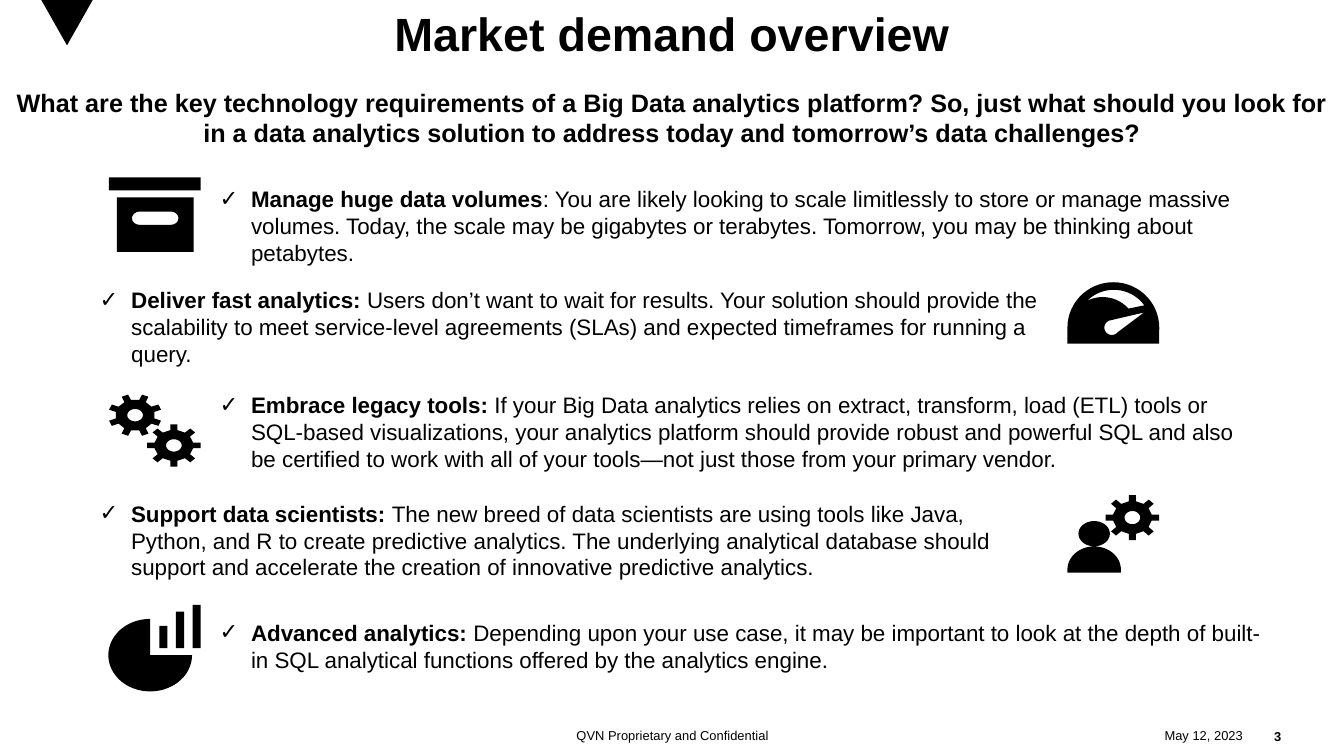
import math

import pptx
import pptx.util
import pptx.dml.color
import pptx.enum.shapes
import pptx.enum.text
from lxml import etree

Pt = pptx.util.Pt
ALIGN = pptx.enum.text.PP_ALIGN
MIDDLE = pptx.enum.text.MSO_ANCHOR.MIDDLE
COLORS = {"ink": "000000"}
FONT = "Arial"
INDENT = 22.5

# left, top, width, height, heading, detail
NEEDS = [
    (149.76, 128.9, 758.2, 65.5, "Manage huge data volumes",
     ": You are likely looking to scale limitlessly to store or manage massive "
     "volumes. Today, the scale may be gigabytes or terabytes. Tomorrow, you may "
     "be thinking about petabytes."),
    (64.1, 200.9, 687.6, 65.5, "Deliver fast analytics: ",
     "Users don’t want to wait for results. Your solution should provide the "
     "scalability to meet service-level agreements (SLAs) and expected timeframes "
     "for running a query."),
    (149.76, 275.8, 758.2, 65.5, "Embrace legacy tools: ",
     "If your Big Data analytics relies on extract, transform, load (ETL) tools or "
     "SQL-based visualizations, your analytics platform should provide robust and "
     "powerful SQL and also be certified to work with all of your tools—not just "
     "those from your primary vendor."),
    (64.1, 353.5, 688.3, 65.5, "Support data scientists: ",
     "The new breed of data scientists are using tools like Java, Python, and R to "
     "create predictive analytics. The underlying analytical database should "
     "support and accelerate the creation of innovative predictive analytics."),
    (149.76, 438.5, 758.2, 46.1, "Advanced analytics: ",
     "Depending upon your use case, it may be important to look at the depth of "
     "built-in SQL analytical functions offered by the analytics engine."),
]


def ink():
    return pptx.dml.color.RGBColor.from_string(COLORS["ink"])


def style(run, size, bold=False):
    run.font.name = FONT
    run.font.size = Pt(size)
    run.font.bold = bold
    run.font.color.rgb = ink()


def fill_ink(shape):
    shape.shadow.inherit = False
    shape.fill.solid()
    shape.fill.fore_color.rgb = ink()
    shape.line.fill.background()


def place(shape, left, top, width, height):
    shape.left, shape.top = Pt(left), Pt(top)
    shape.width, shape.height = Pt(width), Pt(height)


def set_text(shape, text, size, align, bold=False):
    frame = shape.text_frame
    frame.word_wrap = True
    frame.text = text
    para = frame.paragraphs[0]
    para.alignment = align
    style(para.runs[0], size, bold)
    return para


def trim(shape):
    """Remove the insets and centre the text vertically."""
    frame = shape.text_frame
    frame.margin_left = frame.margin_right = 0
    frame.margin_top = frame.margin_bottom = 0
    frame.vertical_anchor = MIDDLE


def add_text(slide, box, text, size, align, bold=False):
    shape = slide.shapes.add_textbox(*map(Pt, box))
    return shape, set_text(shape, text, size, align, bold)


def add_need(slide, left, top, width, height, head, detail):
    box = (left, top, width, height)
    para = add_text(slide, box, head, 16, ALIGN.LEFT, True)[1]
    run = para.add_run()
    run.text = detail
    style(run, 16)
    props = para._p.get_or_add_pPr()
    props.set("marL", str(Pt(INDENT)))
    props.set("indent", str(-Pt(INDENT)))
    space = "{http://schemas.openxmlformats.org/drawingml/2006/main}"
    etree.SubElement(props, space + "buFont", typeface=FONT)
    etree.SubElement(props, space + "buChar", char="✓")


def add_icon(slide, *rings):
    """Draw closed point rings as one shape; inner rings become holes."""
    rings = [[(Pt(x), Pt(y)) for x, y in ring] for ring in rings]
    pen = slide.shapes.build_freeform(*rings[0][0])
    for count, ring in enumerate(rings):
        if count:
            pen.move_to(*ring[0])
        pen.add_line_segments(ring[1:], close=True)
    fill_ink(pen.convert_to_shape())


def arc(x, y, wide, high, start=0, end=360):
    """Points on an ellipse; angles run clockwise from the right."""
    steps = max(8, abs(end - start) // 6)
    turns = [math.radians(start + (end - start) * i / steps)
             for i in range(steps + 1)]
    return [(x + wide * math.cos(t), y + high * math.sin(t)) for t in turns]


def rect(left, top, right, bottom):
    return [(left, top), (right, top), (right, bottom), (left, bottom)]


def gear(x, y, wide, high, turn=0):
    """Outline and hole of a gear with eight teeth."""
    edge = []
    for tooth in range(8):
        for shift, size in ((-10.5, 0.73), (-7.5, 1), (7.5, 1), (10.5, 0.73)):
            angle = math.radians(45 * tooth + turn + shift)
            edge.append((x + wide * size * math.cos(angle),
                         y + high * size * math.sin(angle)))
    return edge, arc(x, y, 0.29 * wide, 0.29 * high)


def draw_gauge(slide):
    dome = [(762.5, 245.5), *arc(795.3, 234, 32.8, 32.4, 180, 360), (828, 245.5)]
    needle = [(817.2, 223.2), *arc(794.2, 234, 5.3, 5.3, 260, 40)]
    glass = arc(795.6, 234, 27, 27, 324, 224) + arc(787.7, 237, 24.8, 24.8, 242, 318)
    add_icon(slide, dome, needle, glass)


def draw_box(slide):
    slot = (arc(99.7, 155.9, 5.4, 4.7, 90, 270)
            + arc(122, 155.9, 5.4, 4.7, 270, 450))
    add_icon(slide, rect(77.8, 126.7, 143.3, 136.1),
             rect(83.5, 141.1, 138.2, 180), slot)


def draw_chart(slide):
    pie = [(107.3, 468), *arc(107.3, 468, 29.9, 25.9, 0, 270)]
    bars = [rect(113.8 + 11.9 * i, top, 119.6 + 11.9 * i, 463)
            for i, top in enumerate((447.1, 437, 432))]
    add_icon(slide, pie, *bars)


def draw_user(slide):
    head = arc(781.6, 381.2, 11.2, 9)
    torso = [(762.5, 409), *arc(781.6, 406.8, 19.1, 16.5, 180, 360), (800.6, 409)]
    add_icon(slide, *gear(808.9, 369.7, 19.2, 16.2), head, torso)


def main():
    deck = pptx.Presentation()
    deck.slide_width, deck.slide_height = Pt(960), Pt(540)
    slide = deck.slides.add_slide(deck.slide_layouts[5])

    mark = slide.shapes.add_shape(
        pptx.enum.shapes.MSO_SHAPE.FLOWCHART_MERGE, Pt(29.5), 0, Pt(36.7), Pt(32.4))
    fill_ink(mark)
    for box, text, align, bold in (
            ((780.5, 516.2, 107.3, 18), "May 12, 2023", ALIGN.RIGHT, False),
            ((887.8, 517, 27.4, 18), "3", ALIGN.RIGHT, True),
            ((315.4, 516.2, 329.8, 18), "QVN Proprietary and Confidential",
             ALIGN.CENTER, False)):
        trim(add_text(slide, box, text, 9.2, align, bold)[0])

    title = slide.shapes.title
    place(title, 0, 0, 960, 52.6)
    trim(title)
    para = set_text(title, "Market demand overview", 33.3, ALIGN.CENTER, True)
    para.line_spacing = 0.85
    lead = add_text(
        slide, (0, 59, 960, 55.4),
        "What are the key technology requirements of a Big Data analytics platform? "
        "So, just what should you look for in a data analytics solution to address "
        "today and tomorrow’s data challenges?", 18, ALIGN.CENTER, True)[1]
    lead.space_before = Pt(10)

    draw_gauge(slide)
    draw_box(slide)
    draw_chart(slide)
    add_icon(slide, *gear(124.2, 318.2, 19.2, 15.2),
             *gear(96.5, 296.6, 19.2, 15.2, 22.5))
    draw_user(slide)
    for need in NEEDS:
        add_need(slide, *need)
    deck.save("out.pptx")


if __name__ == "__main__":
    main()
